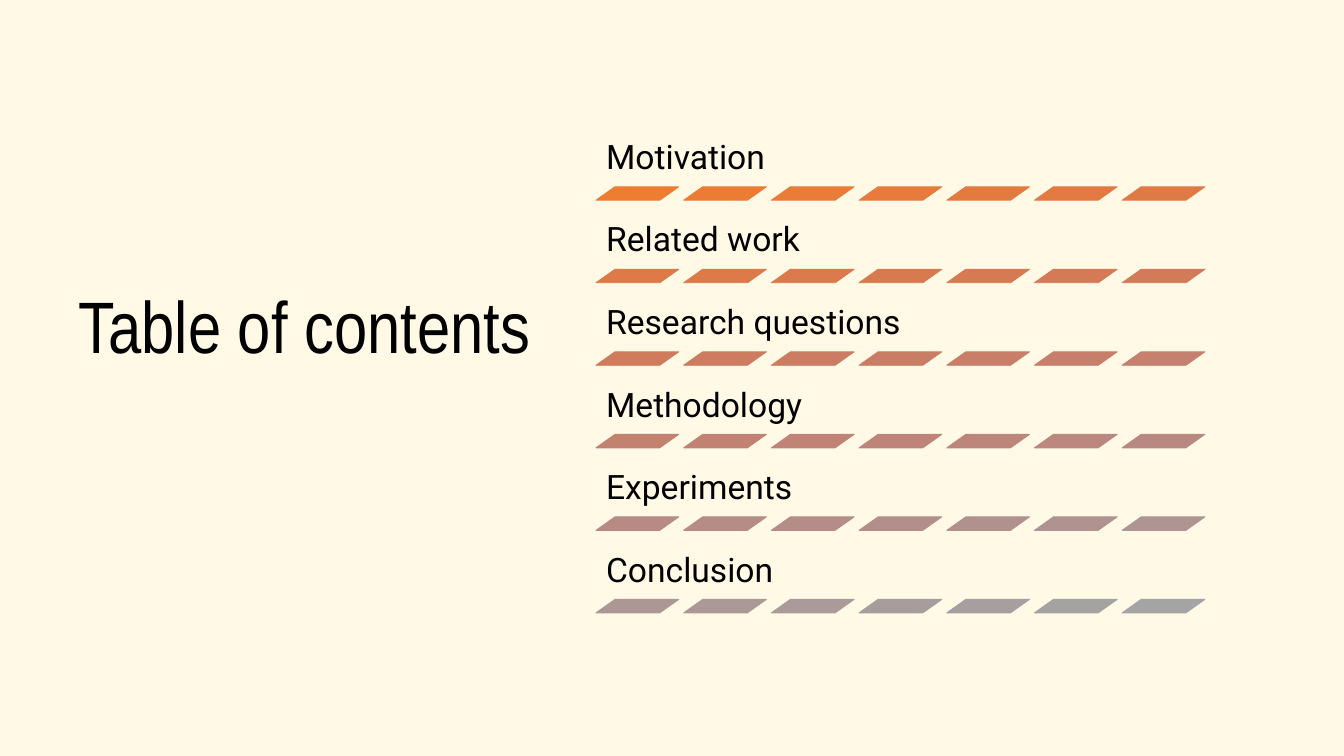
from colorsys import hls_to_rgb, rgb_to_hls

from pptx import Presentation
from pptx.dml.color import RGBColor
from pptx.enum.shapes import MSO_SHAPE
from pptx.enum.text import MSO_ANCHOR
from pptx.util import Inches, Pt

PARALLELOGRAM = MSO_SHAPE.PARALLELOGRAM
MIDDLE, BOTTOM = MSO_ANCHOR.MIDDLE, MSO_ANCHOR.BOTTOM

# Content
TITLE = "Table of contents"
SECTIONS = ["Motivation", "Related work", "Research questions",
            "Methodology", "Experiments", "Conclusion"]

# Colours
CREAM = RGBColor(0xFF, 0xF9, 0xE6)
BLACK = RGBColor(0x00, 0x00, 0x00)
ORANGE = RGBColor(0xED, 0x7D, 0x31)
GREY = RGBColor(0xA4, 0xA4, 0xA4)

# Layout in inches
LEFT, TOP = 8.87, 1.94
LABEL_W, LABEL_H = 9.25, 0.84
DASH_W, DASH_H, DASH_SLANT = 1.23, 0.2, 1.41
DASHES = 7
DASH_STEP = 7.83 / (DASHES - 1)
ROW_STEP = 6.14 / (len(SECTIONS) - 1)


def add_text(shapes, text, left, top, width, height, *, font, size,
             anchor, insets):
    box = shapes.add_textbox(*map(Inches, (left, top, width, height)))
    frame = box.text_frame
    frame.word_wrap = True
    frame.vertical_anchor = anchor
    (frame.margin_left, frame.margin_top,
     frame.margin_right, frame.margin_bottom) = map(Inches, insets)
    paragraph = frame.paragraphs[0]
    paragraph.line_spacing = 0.9
    run = paragraph.add_run()
    run.text = text
    run.font.name = font
    run.font.size = Pt(size)
    run.font.color.rgb = BLACK


def blend(share):
    """Colour between ORANGE and GREY, mixed by hue, lightness and saturation."""
    start, end = (rgb_to_hls(*(c / 255 for c in colour))
                  for colour in (ORANGE, GREY))
    mixed = (a + (b - a) * share for a, b in zip(start, end))
    return RGBColor(*(round(c * 255) for c in hls_to_rgb(*mixed)))


def add_dash(shapes, left, top, colour):
    dash = shapes.add_shape(PARALLELOGRAM, Inches(left), Inches(top),
                            Inches(DASH_W), Inches(DASH_H))
    dash.adjustments[0] = DASH_SLANT
    dash.shadow.inherit = False
    dash.fill.solid()
    dash.fill.fore_color.rgb = colour
    dash.line.color.rgb = colour
    dash.line.width = Pt(1)


def main():
    prs = Presentation()
    prs.slide_width, prs.slide_height = Inches(20), Inches(11.25)
    slide = prs.slides.add_slide(prs.slide_layouts[6])
    slide.background.fill.solid()
    slide.background.fill.fore_color.rgb = CREAM

    # Title, raised above the middle by its deep bottom inset
    add_text(slide.shapes, TITLE, 1.07, 3.95, 7.82, 3.05, font="Arial Narrow",
             size=78, anchor=MIDDLE, insets=(0.1, 0.05, 0.1, 1.17))

    # Sections, each underlined by a row of dashes
    contents = slide.shapes.add_group_shape().shapes
    last_dash = len(SECTIONS) * DASHES - 1
    for row, section in enumerate(SECTIONS):
        top = TOP + row * ROW_STEP
        add_text(contents, section, LEFT, top, LABEL_W, LABEL_H, font="Roboto",
                 size=36, anchor=BOTTOM, insets=(0.15,) * 4)
        for column in range(DASHES):
            add_dash(contents, LEFT + column * DASH_STEP, top + LABEL_H,
                     blend((row * DASHES + column) / last_dash))

    prs.save("out.pptx")


if __name__ == "__main__":
    main()
